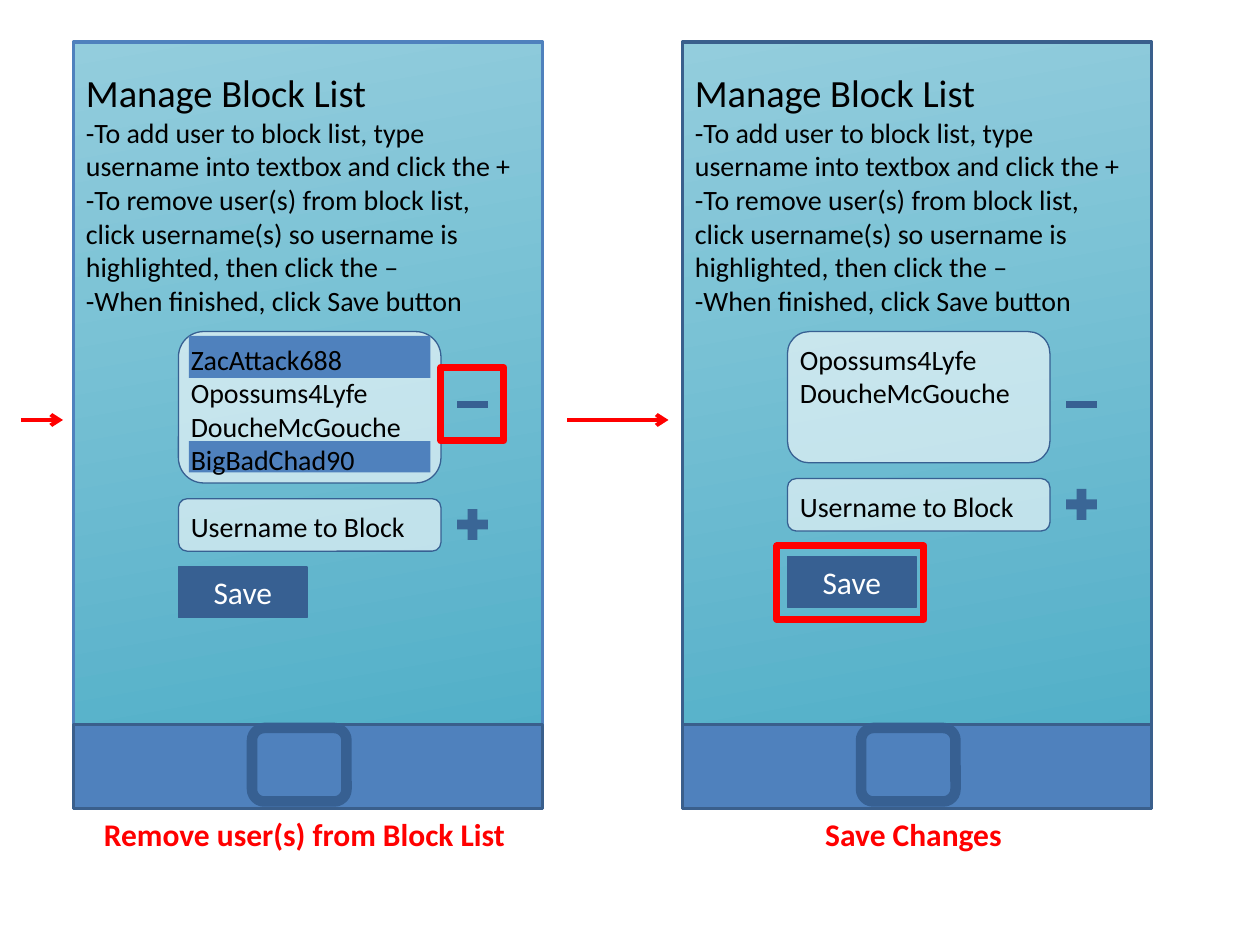
from lxml.etree import SubElement
from pptx import Presentation
from pptx.dml.color import RGBColor
from pptx.enum.shapes import MSO_CONNECTOR, MSO_SHAPE
from pptx.enum.text import MSO_ANCHOR, PP_ALIGN
from pptx.oxml.ns import qn
from pptx.util import Pt

BLACK = RGBColor(0x00, 0x00, 0x00)
WHITE = RGBColor(0xFF, 0xFF, 0xFF)
RED = RGBColor(0xFF, 0x00, 0x00)
BLUE = RGBColor(0x4F, 0x81, 0xBD)
NAVY = RGBColor(0x37, 0x60, 0x92)
EDGE = RGBColor(0x3A, 0x5F, 0x8C)
TEAL = RGBColor(0x4B, 0xAC, 0xC6)
PALE_TEAL = RGBColor(0x93, 0xCD, 0xDD)

INSTRUCTIONS = [
    "Manage Block List",
    "-To add user to block list, type username into textbox and click the +",
    "-To remove user(s) from block list, click username(s) so username is highlighted, then click the –",
    "-When finished, click Save button",
]

prs = Presentation()
prs.slide_width, prs.slide_height = Pt(720), Pt(540)
slide = prs.slides.add_slide(prs.slide_layouts[6])


def add_shape(kind, left, top, width, height, fill=None, opacity=100, line=None, weight=0.75):
    shape = slide.shapes.add_shape(kind, Pt(left), Pt(top), Pt(width), Pt(height))
    shape.shadow.inherit = False
    if fill is None:
        shape.fill.background()
    else:
        shape.fill.solid()
        shape.fill.fore_color.rgb = fill
        if opacity < 100:
            color = shape.fill._xPr.find(qn("a:solidFill"))[0]
            SubElement(color, qn("a:alpha"), val=str(opacity * 1000))
    if line is None:
        shape.line.fill.background()
    else:
        shape.line.color.rgb = line
        shape.line.width = Pt(weight)
    return shape


def add_text(lines, left=0, top=0, width=0, height=0, host=None, size=16, first_size=None,
             color=BLACK, bold=False, align=PP_ALIGN.LEFT, anchor=MSO_ANCHOR.TOP):
    host = host or slide.shapes.add_textbox(Pt(left), Pt(top), Pt(width), Pt(height))
    frame = host.text_frame
    frame.word_wrap = True
    frame.vertical_anchor = anchor
    frame.text = "\n".join(lines)
    for index, paragraph in enumerate(frame.paragraphs):
        paragraph.alignment = align
        font = paragraph.runs[0].font
        font.name = "Calibri"
        font.size = Pt(first_size if first_size and index == 0 else size)
        font.bold = bold
        font.color.rgb = color


phones = [
    dict(left=42, edge=BLUE, caption="Remove user(s) from Block List",
         users=["ZacAttack688", "Opossums4Lyfe", "DoucheMcGouche", "BigBadChad90"],
         list_height=86.5, selected=[(192, 24), (252, 18)], entry_top=285, save_top=324,
         focus=(210, 210, 36, 42)),
    dict(left=390, edge=EDGE, caption="Save Changes",
         users=["Opossums4Lyfe", "DoucheMcGouche"],
         list_height=75, selected=[], entry_top=273.5, save_top=318,
         focus=(54, 312, 84, 42)),
]

for phone in phones:
    left = phone["left"]
    field_left, sign_left = left + 60, left + 216
    entry_top = phone["entry_top"]

    screen = add_shape(MSO_SHAPE.RECTANGLE, left, 24, 268, 438, line=phone["edge"], weight=2)
    screen.fill.gradient()
    screen.fill.gradient_angle = 100
    for stop, color in zip(screen.fill.gradient_stops, (TEAL, PALE_TEAL)):
        stop.color.rgb = color
    add_text(INSTRUCTIONS, left, 36, 264, 170, first_size=22)

    add_shape(MSO_SHAPE.ROUNDED_RECTANGLE, field_left, 189.5, 150, phone["list_height"],
              fill=WHITE, opacity=60, line=NAVY)
    for top, height in phone["selected"]:
        add_shape(MSO_SHAPE.RECTANGLE, left + 66, top, 138, height, fill=BLUE)
    add_text(phone["users"], field_left, 192, 144, 26 * len(phone["users"]))
    add_shape(MSO_SHAPE.MATH_MINUS, sign_left, 222, 24, 18, fill=NAVY)

    add_shape(MSO_SHAPE.ROUNDED_RECTANGLE, field_left, entry_top, 150, 30,
              fill=WHITE, opacity=60, line=NAVY)
    add_text(["Username to Block"], field_left, entry_top + 2.75, 144, 26.5)
    add_shape(MSO_SHAPE.MATH_PLUS, sign_left, entry_top + 2.75, 24, 24, fill=NAVY, opacity=92)

    save = add_shape(MSO_SHAPE.RECTANGLE, field_left, phone["save_top"], 73.5, 29,
                     fill=NAVY, line=NAVY)
    add_text(["Save"], host=save, size=18, color=WHITE, align=PP_ALIGN.CENTER,
             anchor=MSO_ANCHOR.MIDDLE)

    focus_left, focus_top, focus_width, focus_height = phone["focus"]
    add_shape(MSO_SHAPE.RECTANGLE, left + focus_left, focus_top, focus_width, focus_height,
              line=RED, weight=4)

    add_shape(MSO_SHAPE.RECTANGLE, left, 414, 268, 48, fill=BLUE, line=EDGE, weight=2)
    add_shape(MSO_SHAPE.ROUNDED_RECTANGLE, left + 102, 416, 54, 42, line=NAVY, weight=6)
    add_text([phone["caption"]], left, 462, 264, 29, size=18, color=RED, bold=True,
             align=PP_ALIGN.CENTER)

for start, end in [(12, 36), (324, 382)]:
    arrow = slide.shapes.add_connector(MSO_CONNECTOR.STRAIGHT, Pt(start), Pt(240), Pt(end), Pt(240))
    arrow.line.color.rgb = RED
    arrow.line.width = Pt(2.25)
    SubElement(arrow.line._get_or_add_ln(), qn("a:tailEnd"), type="arrow")
    SubElement(arrow._element.spPr, qn("a:effectLst"))

prs.save("out.pptx")
